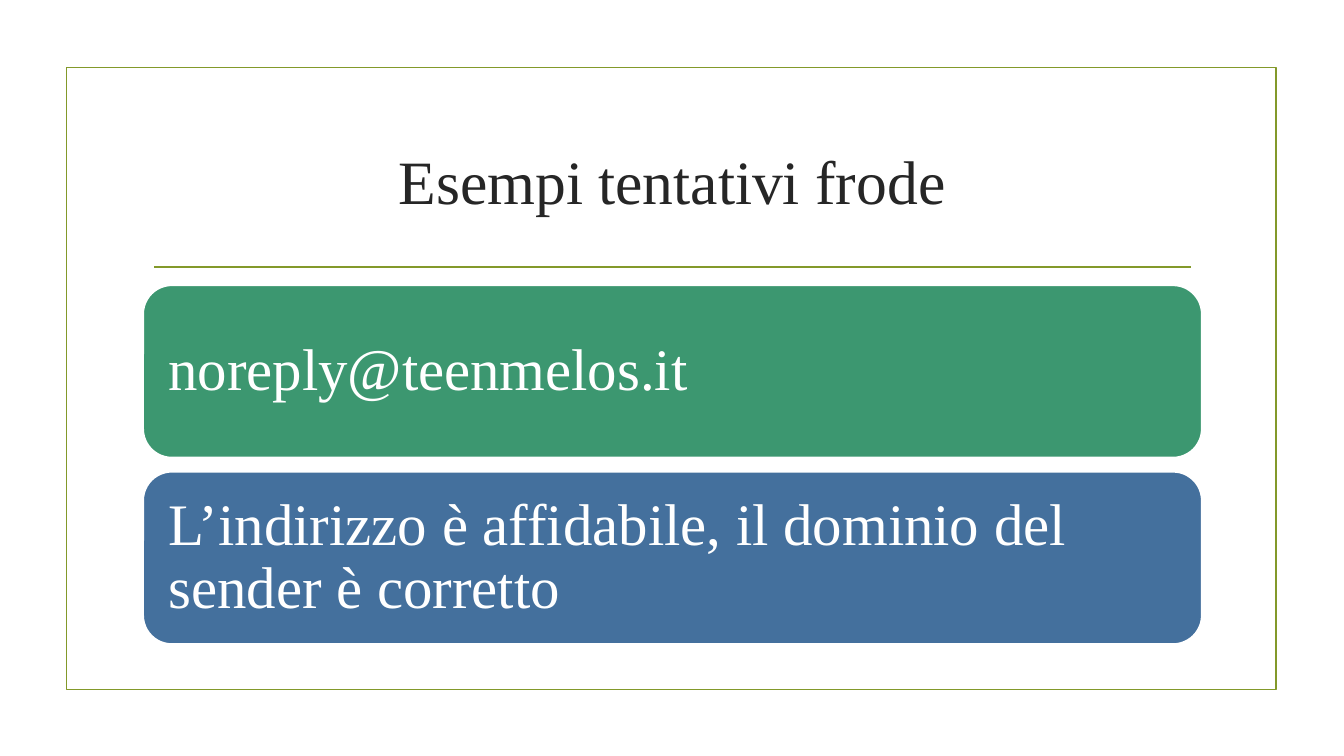
from dataclasses import dataclass

from lxml import etree
from pptx import Presentation
from pptx.dml.color import RGBColor
from pptx.enum import shapes, text
from pptx.oxml import ns
from pptx.util import Inches, Pt


@dataclass(frozen=True)
class Theme:
    font: str = "Times New Roman"
    title_size: int = 44
    card_size: int = 42
    line_width: float = 1.25
    ink: str = "262626"
    white: str = "FFFFFF"
    olive: str = "83992A"
    green: str = "3C9770"
    blue: str = "44709D"


@dataclass(frozen=True)
class Card:
    wording: str
    fill: str


THEME = Theme()
CARDS = [
    Card("noreply@teenmelos.it", THEME.green),
    Card("L’indirizzo è affidabile, il dominio del sender è corretto", THEME.blue),
]
LEFT, WIDTH = 1.42, 10.5
CARD_TOP, CARD_HEIGHT, CARD_PITCH = 2.83, 1.71, 1.85
CARD_INSET = 0.25


def set_line(line, color: str) -> None:
    line.color.rgb = RGBColor.from_string(color)
    line.width = Pt(THEME.line_width)


def write(paragraph, wording: str, size: int, color: str, alignment) -> None:
    paragraph.alignment = alignment
    run = paragraph.add_run()
    run.text = wording
    run.font.name = THEME.font
    run.font.size = Pt(size)
    run.font.color.rgb = RGBColor.from_string(color)


def add_frame(slide) -> None:
    """Draw the outer border and the rule under the title."""
    border = slide.shapes.add_shape(
        shapes.MSO_SHAPE.RECTANGLE, Inches(0.66), Inches(0.67), Inches(12), Inches(6.17)
    )
    border.shadow.inherit = False
    border.fill.background()
    set_line(border.line, THEME.olive)

    rule = slide.shapes.add_connector(
        shapes.MSO_CONNECTOR.STRAIGHT, Inches(1.53), Inches(2.65), Inches(11.81), Inches(2.65)
    )
    set_line(rule.line, THEME.olive)
    etree.SubElement(rule._element.spPr, ns.qn("a:effectLst"))


def add_title(slide, wording: str) -> None:
    title = slide.shapes.title
    title.left, title.top = Inches(LEFT), Inches(1.07)
    title.width, title.height = Inches(WIDTH), Inches(1.43)
    title.text_frame.vertical_anchor = text.MSO_ANCHOR.MIDDLE
    write(title.text_frame.paragraphs[0], wording, THEME.title_size, THEME.ink,
          text.PP_ALIGN.CENTER)


def add_card(slide, card: Card, top: float) -> None:
    box = slide.shapes.add_shape(
        shapes.MSO_SHAPE.ROUNDED_RECTANGLE,
        Inches(LEFT), Inches(top), Inches(WIDTH), Inches(CARD_HEIGHT),
    )
    box.shadow.inherit = False
    box.fill.solid()
    box.fill.fore_color.rgb = RGBColor.from_string(card.fill)
    set_line(box.line, THEME.white)

    frame = box.text_frame
    frame.word_wrap = True
    frame.vertical_anchor = text.MSO_ANCHOR.MIDDLE
    # The rounded corners already push the text in by 0.29 of their radius.
    corner = box.adjustments[0] * CARD_HEIGHT * 0.29
    frame.margin_left = frame.margin_right = Inches(CARD_INSET - corner)
    frame.margin_top = frame.margin_bottom = Inches(CARD_INSET - corner)
    paragraph = frame.paragraphs[0]
    paragraph.line_spacing = 0.9
    write(paragraph, card.wording, THEME.card_size, THEME.white, text.PP_ALIGN.LEFT)


def main() -> None:
    deck = Presentation()
    deck.slide_width, deck.slide_height = Inches(13.33), Inches(7.5)
    slide = deck.slides.add_slide(deck.slide_layouts.get_by_name("Title Only"))
    add_frame(slide)
    add_title(slide, "Esempi tentativi frode")
    for row, card in enumerate(CARDS):
        add_card(slide, card, CARD_TOP + row * CARD_PITCH)
    deck.save("out.pptx")


if __name__ == "__main__":
    main()
